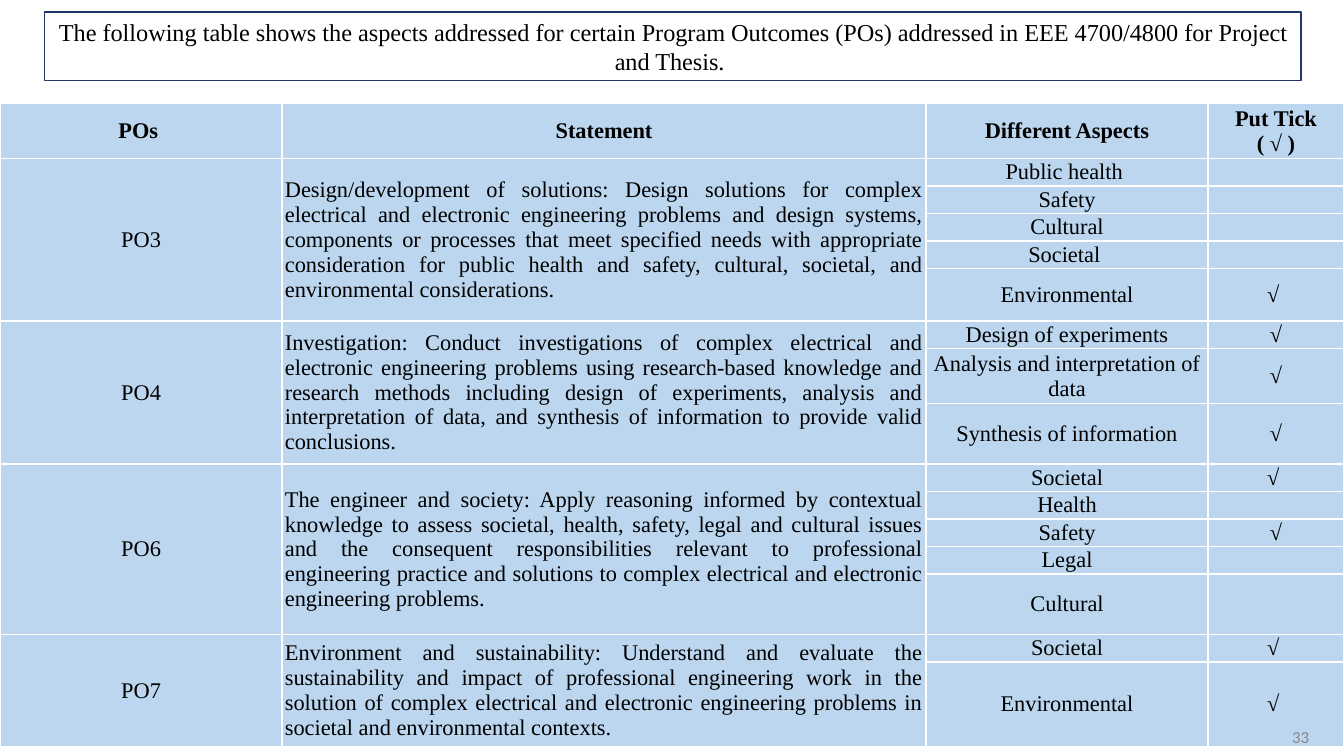
from typing import NamedTuple

from lxml.etree import SubElement
from pptx import Presentation
from pptx.dml.color import RGBColor
from pptx.enum.shapes import MSO_SHAPE as Shape
from pptx.enum.text import MSO_ANCHOR as Anchor, MSO_AUTO_SIZE as AutoSize, PP_ALIGN as Align
from pptx.oxml.ns import qn
from pptx.util import Inches, Pt

SERIF, SANS = "Times New Roman", "Calibri"
BLACK, WHITE, NAVY, GREY, PALE_BLUE = "000000", "FFFFFF", "1F3864", "888888", "BBD6EE"
SLIDE_WIDTH = 10
SLIDE_HEIGHT = SLIDE_WIDTH * 9 / 16
COLUMNS = (2.1, 4.79, 2.1, 1.01)
HEADER_ROW = 0.41
LINE_ROW = HEADER_ROW / 2
TABLE_TOP = 0.77


class Aspect(NamedTuple):
    label: str
    tick: str = ""
    height: float = LINE_ROW


class Outcome(NamedTuple):
    code: str
    statement: str
    aspects: tuple[Aspect, ...]


HEADINGS = ("POs ", "Statement", "Different Aspects", "Put Tick\n( √ )")
OUTCOMES = (
    Outcome(
        "PO3",
        "Design/development of solutions: Design solutions for complex electrical and "
        "electronic engineering problems and design systems, components or processes that "
        "meet specified needs with appropriate consideration for public health and safety, "
        "cultural, societal, and environmental considerations. ",
        (Aspect("Public health "), Aspect("Safety"), Aspect("Cultural"),
         Aspect("Societal "), Aspect("Environmental", "√ ", 0.39)),
    ),
    Outcome(
        "PO4",
        "Investigation: Conduct investigations of complex electrical and electronic "
        "engineering problems using research-based knowledge and research methods including "
        "design of experiments, analysis and interpretation of data, and synthesis of "
        "information to provide valid conclusions.",
        (Aspect("Design of experiments", "√"),
         Aspect("Analysis and interpretation of data", "√", 0.41),
         Aspect("Synthesis of information", "√", 0.45)),
    ),
    Outcome(
        "PO6",
        "The engineer and society: Apply reasoning informed by contextual knowledge to "
        "assess societal, health, safety, legal and cultural issues and the consequent "
        "responsibilities relevant to professional engineering practice and solutions to "
        "complex electrical and electronic engineering problems. ",
        (Aspect("Societal", "√ "), Aspect("Health"), Aspect("Safety", "√"),
         Aspect("Legal"), Aspect("Cultural", height=0.45)),
    ),
    Outcome(
        "PO7",
        "Environment and sustainability: Understand and evaluate the sustainability and "
        "impact of professional engineering work in the solution of complex electrical and "
        "electronic engineering problems in societal and environmental contexts.",
        (Aspect("Societal", "√ "), Aspect("Environmental", "√ ", 0.63)),
    ),
)


def color(value: str) -> RGBColor:
    return RGBColor.from_string(value)


def write(frame, text: str, size: float, font: str = SERIF, ink: str = BLACK,
          align: Align = Align.CENTER, bold: bool = False) -> None:
    frame.text = text
    for paragraph in frame.paragraphs:
        paragraph.alignment = align
        for run in paragraph.runs:
            run.font.size, run.font.name, run.font.bold = Pt(size), font, bold
            run.font.color.rgb = color(ink)


def set_margins(box, across: float, down: float) -> None:
    box.margin_left = box.margin_right = Inches(across)
    box.margin_top = box.margin_bottom = Inches(down)


def style_cell(cell) -> None:
    set_margins(cell, 0.02, 0)
    cell.vertical_anchor = Anchor.MIDDLE
    properties = cell._tc.get_or_add_tcPr()
    for side in ("a:lnL", "a:lnR", "a:lnT", "a:lnB"):
        border = SubElement(properties, qn(side), w=str(Pt(1)))
        SubElement(SubElement(border, qn("a:solidFill")), qn("a:srgbClr"), val=WHITE)
    cell.fill.solid()
    cell.fill.fore_color.rgb = color(PALE_BLUE)
    # An empty cell needs a text size too, or it stretches its row
    if not cell.text_frame.text:
        SubElement(cell.text_frame.paragraphs[0]._p, qn("a:endParaRPr"), sz="1200")


def add_outcome_table(slide) -> None:
    aspects = [aspect for outcome in OUTCOMES for aspect in outcome.aspects]
    heights = [HEADER_ROW] + [aspect.height for aspect in aspects]
    table = slide.shapes.add_table(
        len(heights), len(COLUMNS), 0, Inches(TABLE_TOP),
        Inches(sum(COLUMNS)), Inches(sum(heights))).table
    table.first_row = table.horz_banding = False
    for column, width in zip(table.columns, COLUMNS):
        column.width = Inches(width)
    for row, height in zip(table.rows, heights):
        row.height = Inches(height)

    for column, heading in enumerate(HEADINGS):
        write(table.cell(0, column).text_frame, heading, 12, bold=True)

    # Each outcome spans the rows of its aspects
    top = 1
    for outcome in OUTCOMES:
        bottom = top + len(outcome.aspects) - 1
        for column in (0, 1):
            table.cell(top, column).merge(table.cell(bottom, column))
        write(table.cell(top, 0).text_frame, outcome.code, 12)
        write(table.cell(top, 1).text_frame, outcome.statement, 12, align=Align.JUSTIFY)
        for row, aspect in enumerate(outcome.aspects, top):
            write(table.cell(row, 2).text_frame, aspect.label, 12)
            if aspect.tick:
                write(table.cell(row, 3).text_frame, aspect.tick, 12)
        top = bottom + 1

    for cell in table.iter_cells():
        style_cell(cell)


def add_intro(slide) -> None:
    intro = slide.shapes.add_shape(
        Shape.RECTANGLE, Inches(0.33), Inches(0.09), Inches(9.35), Inches(0.51))
    intro.shadow.inherit = False
    intro.fill.background()
    intro.line.color.rgb = color(NAVY)
    intro.line.width = Pt(0.75)
    frame = intro.text_frame
    frame.word_wrap = True
    frame.auto_size = AutoSize.SHAPE_TO_FIT_TEXT
    frame.vertical_anchor = Anchor.TOP
    set_margins(frame, 0.07, 0.04)
    write(frame, "The following table shows the aspects addressed for certain Program "
          "Outcomes (POs) addressed in EEE 4700/4800 for Project and Thesis. ", 13)


def add_page_number(slide) -> None:
    frame = slide.shapes.add_textbox(
        Inches(7.56), Inches(5.33), Inches(2.25), Inches(0.3)).text_frame
    frame.word_wrap = True
    frame.vertical_anchor = Anchor.MIDDLE
    set_margins(frame, 0.07, 0.04)
    write(frame, "33", 9, SANS, GREY, Align.RIGHT)


def main() -> None:
    deck = Presentation()
    deck.slide_width, deck.slide_height = Inches(SLIDE_WIDTH), Inches(SLIDE_HEIGHT)
    slide = deck.slides.add_slide(deck.slide_layouts[6])
    add_intro(slide)
    add_outcome_table(slide)
    add_page_number(slide)
    deck.save("out.pptx")


if __name__ == "__main__":
    main()
